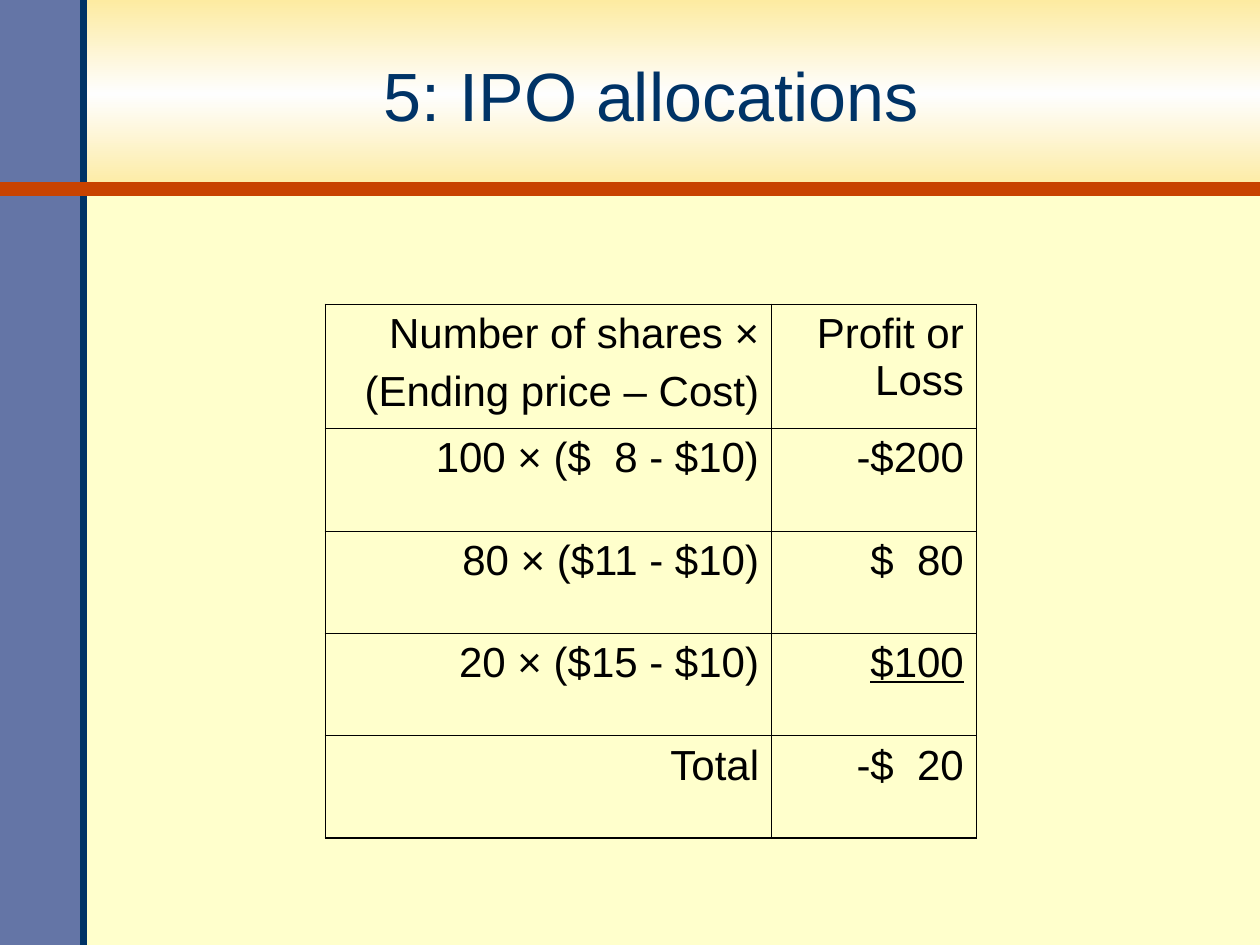
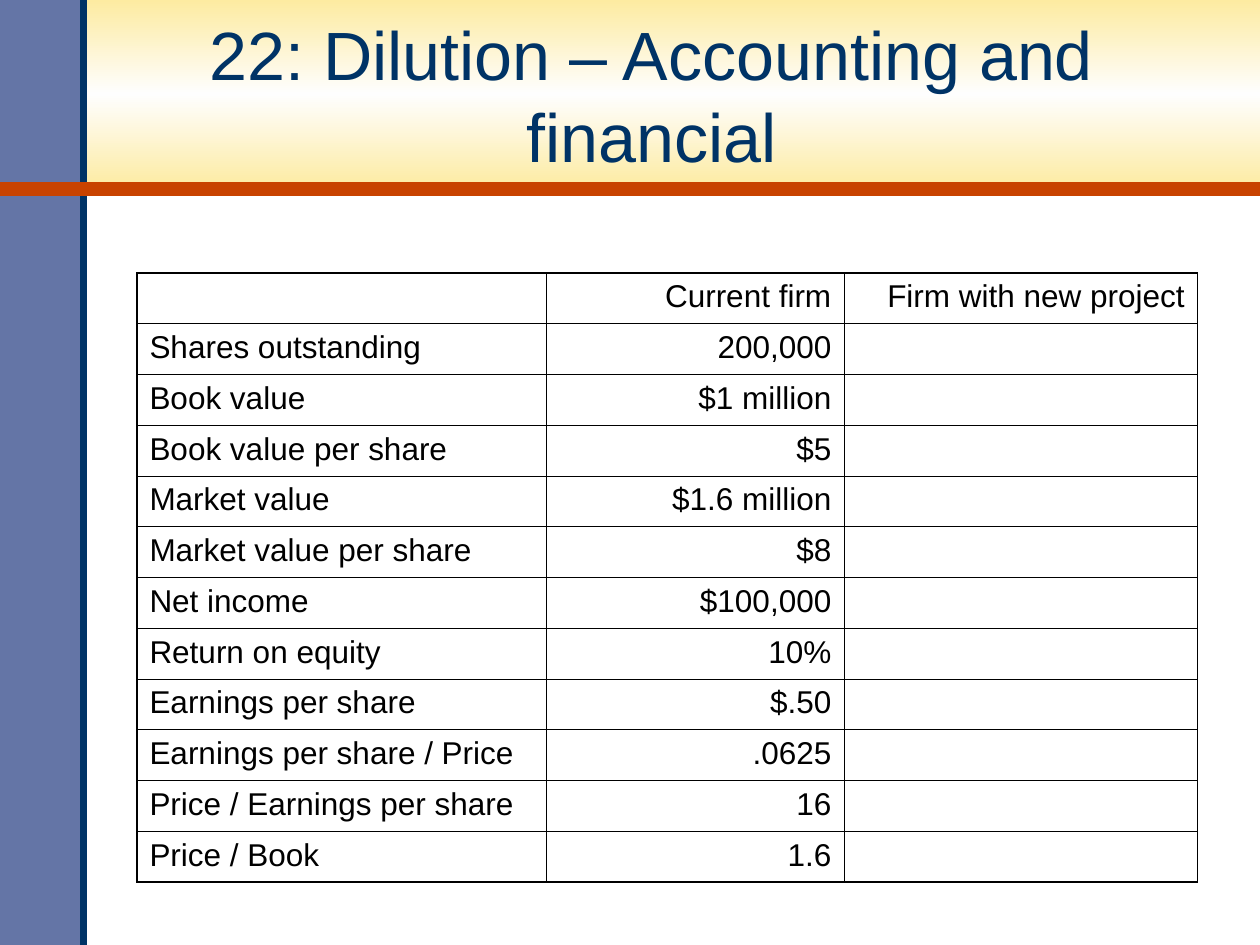
"""Build two finance solution slides, on IPO allocations and on dilution."""
import copy

import pptx
import pptx.dml.color
import pptx.enum.shapes
import pptx.enum.text
import pptx.oxml.ns
import pptx.oxml.xmlchemy
import pptx.util

Pt = pptx.util.Pt
qn = pptx.oxml.ns.qn
new_element = pptx.oxml.xmlchemy.OxmlElement
ALIGN = pptx.enum.text.PP_ALIGN

COLOURS = {
    "cream": "FFFFCC",
    "white": "FFFFFF",
    "banner_edge": "FDEBA1",
    "banner_middle": "FEFEFE",
    "sidebar": "6475A6",
    "navy": "003366",
    "rust": "C84300",
    "black": "000000",
}
FONT = "Arial"
SLIDE_WIDTH, SLIDE_HEIGHT = 720, 540
BANNER_HEIGHT, SIDEBAR_WIDTH = 108, 48
OUTER_BORDER, INNER_BORDER = 1.08, 0.45

ALLOCATION_ROWS = [
    ("Number of shares ×\n(Ending price – Cost)", "Profit or Loss"),
    ("100 × ($  8 - $10)", "-$200"),
    ("80 × ($11 - $10)", "$  80"),
    ("20 × ($15 - $10)", "$100"),
    ("Total", "-$  20"),
]
DILUTION_ROWS = [
    ("", "Current firm", "Firm with new project"),
    ("Shares outstanding", "200,000", ""),
    ("Book value", "$1 million", ""),
    ("Book value per share", "$5", ""),
    ("Market value", "$1.6 million", ""),
    ("Market value per share", "$8", ""),
    ("Net income", "$100,000", ""),
    ("Return on equity", "10%", ""),
    ("Earnings per share", "$.50", ""),
    ("Earnings per share / Price", ".0625", ""),
    ("Price / Earnings per share", "16", ""),
    ("Price / Book", "1.6", ""),
]


def rgb(name):
    return pptx.dml.color.RGBColor.from_string(COLOURS[name])


def style_font(font, size, colour):
    font.name = FONT
    font.size = Pt(size)
    font.color.rgb = rgb(colour)


def add_band(slide, width, height):
    band = slide.shapes.add_shape(
        pptx.enum.shapes.MSO_SHAPE.RECTANGLE, 0, 0, Pt(width), Pt(height))
    band.shadow.inherit = False
    band.line.fill.background()
    return band


def add_banner(slide):
    banner = add_band(slide, SLIDE_WIDTH, BANNER_HEIGHT)
    banner.fill.gradient()
    banner.fill.gradient_angle = 90
    stop_list = banner.element.spPr.find(".//" + qn("a:gsLst"))
    stop_list.insert(1, copy.deepcopy(stop_list[0]))
    stop_colours = ("banner_edge", "banner_middle", "banner_edge")
    for index, (stop, colour) in enumerate(zip(banner.fill.gradient_stops, stop_colours)):
        stop.position = index / 2
        stop.color.rgb = rgb(colour)


def add_rule(slide, start, end, colour, width):
    rule = slide.shapes.add_connector(
        pptx.enum.shapes.MSO_CONNECTOR.STRAIGHT, *map(Pt, start + end))
    rule.line.color.rgb = rgb(colour)
    rule.line.width = Pt(width)
    rule.element.spPr.append(new_element("a:effectLst"))


def set_title(slide, text):
    title = slide.shapes.title
    title.left, title.top, title.width, title.height = map(Pt, (46.8, 10.8, 650.88, 86.4))
    frame = title.text_frame
    frame.text = text
    frame.word_wrap = True
    frame.auto_size = pptx.enum.text.MSO_AUTO_SIZE.NONE
    frame.vertical_anchor = pptx.enum.text.MSO_ANCHOR.MIDDLE
    paragraph = frame.paragraphs[0]
    paragraph.alignment = ALIGN.CENTER
    style_font(paragraph.font, 39, "navy")
    slide.shapes.element.append(title.element)


def add_titled_slide(deck, title, background):
    slide = deck.slides.add_slide(deck.slide_layouts[5])
    slide.background.fill.solid()
    slide.background.fill.fore_color.rgb = rgb(background)
    add_banner(slide)
    sidebar = add_band(slide, SIDEBAR_WIDTH, SLIDE_HEIGHT)
    sidebar.fill.solid()
    sidebar.fill.fore_color.rgb = rgb("sidebar")
    add_rule(slide, (SIDEBAR_WIDTH, SLIDE_HEIGHT), (SIDEBAR_WIDTH, 0), "navy", 4)
    add_rule(slide, (0, BANNER_HEIGHT), (SLIDE_WIDTH, BANNER_HEIGHT), "rust", 8)
    set_title(slide, title)
    return slide


def set_borders(cell, outer_sides):
    properties = cell._tc.get_or_add_tcPr()
    for side in "LRTB":
        width = OUTER_BORDER if side in outer_sides else INNER_BORDER
        border = new_element("a:ln" + side)
        border.set("w", str(int(Pt(width))))
        fill = new_element("a:solidFill")
        colour = new_element("a:srgbClr")
        colour.set("val", COLOURS["black"])
        fill.append(colour)
        border.append(fill)
        properties.append(border)


def fill_cell(cell, text, alignment, size):
    cell.text = text
    cell.fill.background()
    for index, paragraph in enumerate(cell.text_frame.paragraphs):
        paragraph.alignment = alignment
        if index:
            paragraph.space_before = Pt(size / 4)
        style_font(paragraph.font, size, "black")


def add_grid(slide, rows, left, top, widths, heights, alignments, size):
    table = slide.shapes.add_table(
        len(rows), len(widths), Pt(left), Pt(top), Pt(sum(widths)), Pt(sum(heights))).table
    table.first_row = table.horz_banding = False
    for column, width in zip(table.columns, widths):
        column.width = Pt(width)
    last_row, last_column = len(rows) - 1, len(widths) - 1
    for row_index, (texts, height) in enumerate(zip(rows, heights)):
        table.rows[row_index].height = Pt(height)
        for column_index, (text, alignment) in enumerate(zip(texts, alignments)):
            cell = table.cell(row_index, column_index)
            edges = {"T": row_index == 0, "B": row_index == last_row,
                     "L": column_index == 0, "R": column_index == last_column}
            set_borders(cell, [side for side, is_outer in edges.items() if is_outer])
            fill_cell(cell, text, alignment, size)
    return table


def main():
    deck = pptx.Presentation()
    deck.slide_width, deck.slide_height = Pt(SLIDE_WIDTH), Pt(SLIDE_HEIGHT)

    allocations = add_titled_slide(deck, "5: IPO allocations", "cream")
    profits = add_grid(allocations, ALLOCATION_ROWS, 186, 174, (255, 117),
                       [71] + [58.5] * 4, [ALIGN.RIGHT] * 2, 24)
    profits.cell(3, 1).text_frame.paragraphs[0].font.underline = True

    dilution = add_titled_slide(deck, "22: Dilution – Accounting and financial", "white")
    add_grid(dilution, DILUTION_ROWS, 78.25, 156, (234, 170, 202),
             [29] * len(DILUTION_ROWS), (ALIGN.LEFT, ALIGN.RIGHT, ALIGN.RIGHT), 18)

    deck.save("out.pptx")


if __name__ == "__main__":
    main()
